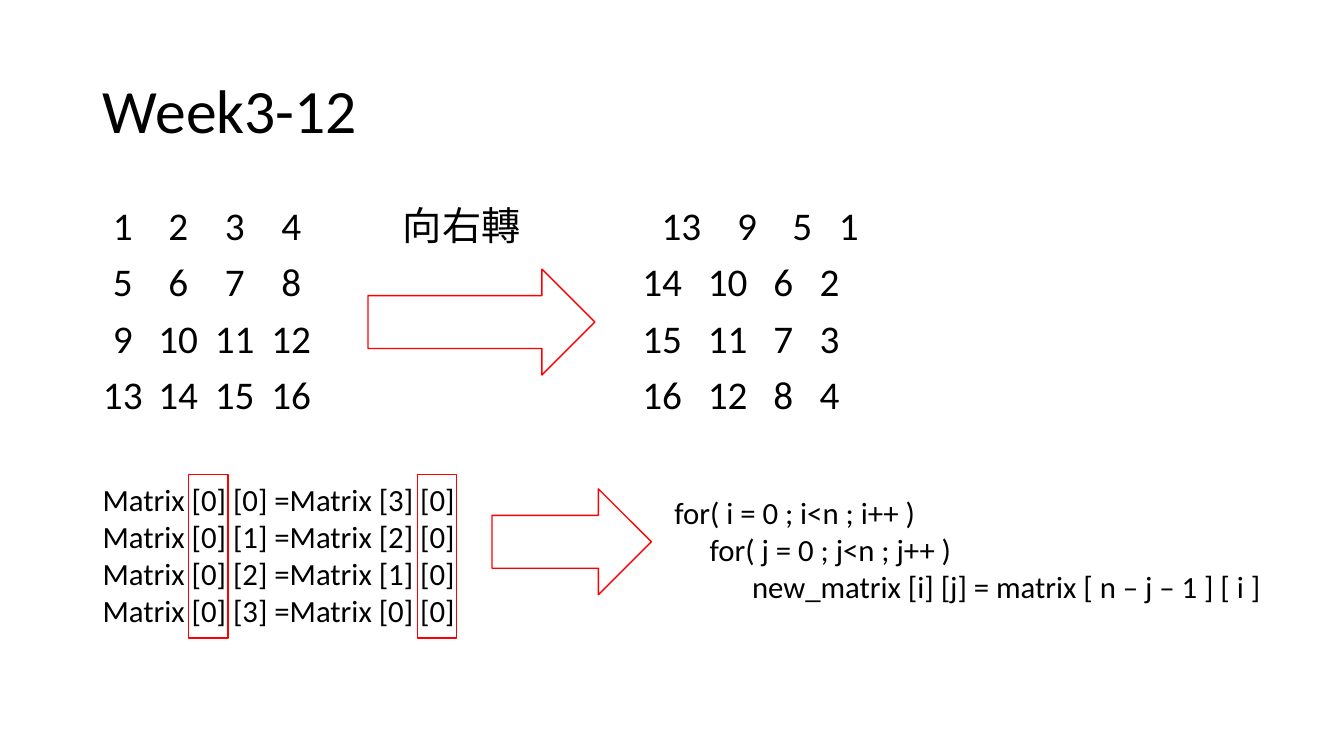
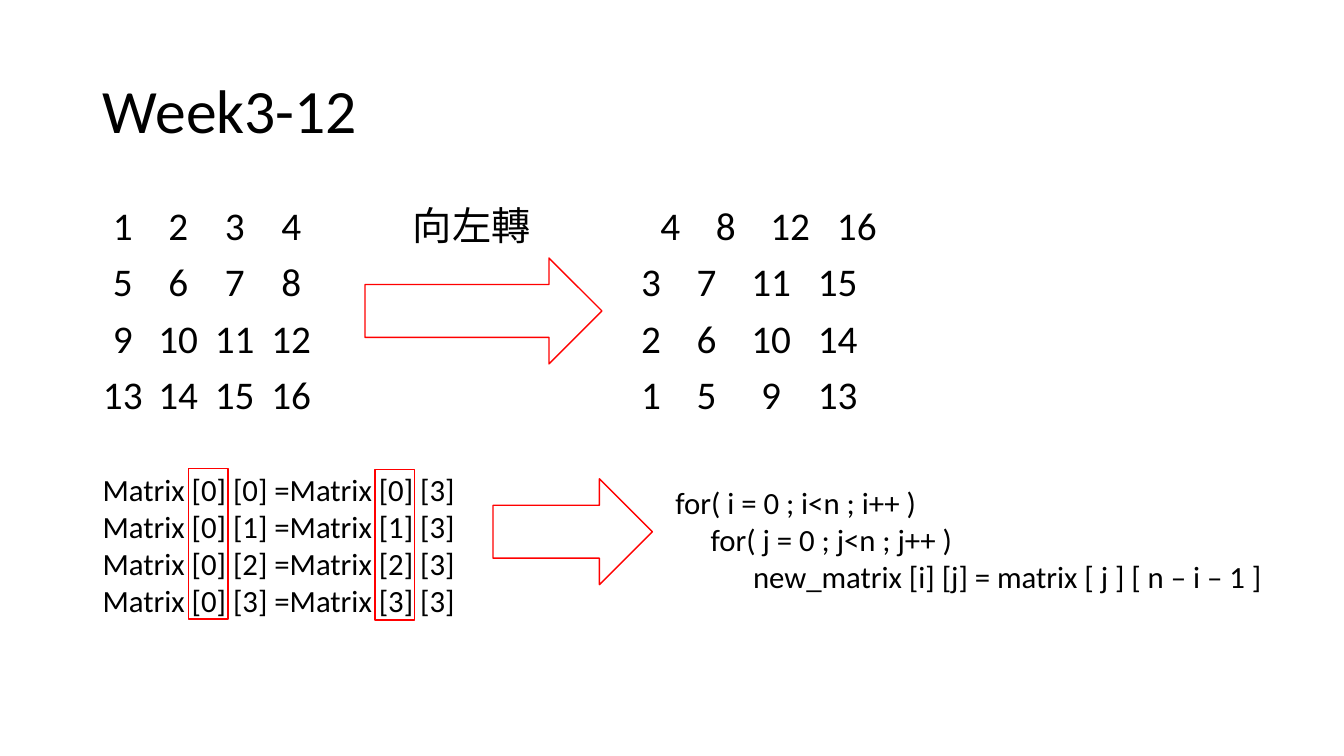
import pptx
import pptx.util
import pptx.dml.color
import pptx.enum.shapes
import pptx.enum.text
import lxml.etree

Inches = pptx.util.Inches
Pt = pptx.util.Pt
SHAPE = pptx.enum.shapes.MSO_SHAPE
ALIGN = pptx.enum.text.PP_ALIGN
ANCHOR = pptx.enum.text.MSO_ANCHOR
NS = "{http://schemas.openxmlformats.org/drawingml/2006/main}"

FONT = "Calibri"
BLACK = "000000"
RED = "FF0000"
LEFT = 0.92
SIZE = 4
GRID = [[SIZE * i + j + 1 for j in range(SIZE)] for i in range(SIZE)]
GRID_TABS = [0.2, 0.75, 1.31, 1.87]
SHIFT = 0.19  # the first turned row stands a little to the right
LOOPS = ["for( i = 0 ; i<n ; i++ )", "for( j = 0 ; j<n ; j++ )"]
INDENTS = [0, 0.35, 0.77]


def color(code):
    """Turn a hex string into a colour."""
    return pptx.dml.color.RGBColor.from_string(code)


def style(para, size):
    """Give a paragraph and its runs the shared look."""
    para.alignment = ALIGN.LEFT
    for run in para.runs:
        run.font.name = FONT
        run.font.size = Pt(size)
        run.font.color.rgb = color(BLACK)


def add_title(slide, text):
    """Place and format the slide title."""
    title = slide.shapes.title
    title.left, title.top = Inches(LEFT), Inches(0.4)
    title.width, title.height = Inches(11.5), Inches(1.45)
    frame = title.text_frame
    frame.text = text
    frame.vertical_anchor = ANCHOR.MIDDLE
    frame.paragraphs[0].line_spacing = 0.9
    style(frame.paragraphs[0], 44)


def add_text(slide, place, lines, size, wrap=True):
    """Add a text box with one paragraph a line."""
    box = slide.shapes.add_textbox(*map(Inches, place))
    frame = box.text_frame
    frame.word_wrap = wrap
    frame.text = "\n".join(lines)
    for para in frame.paragraphs:
        style(para, size)
    return frame.paragraphs


def set_tabs(para, stops):
    """Set centred tab stops, in inches."""
    tabs = lxml.etree.SubElement(para._p.get_or_add_pPr(), NS + "tabLst")
    for stop in stops:
        lxml.etree.SubElement(tabs, NS + "tab", pos=str(Inches(stop)), algn="ctr")


def add_grids(slide, turned, label, middle, stops):
    """Add the first grid, the label and the turned grid."""
    rows = [first + second for first, second in zip(GRID, turned)]
    rows[0] = GRID[0] + [label] + turned[0]
    lines = ["".join(f"\t{item}" for item in row) for row in rows]
    paras = add_text(slide, (LEFT, 2, 11.5, 4.76), lines, 28)
    for number, para in enumerate(paras):
        para.line_spacing = 0.9
        para.space_before = Pt(10)
        if number == 0:
            tabs = GRID_TABS + [middle] + [stop + SHIFT for stop in stops]
        else:
            tabs = GRID_TABS + stops
        set_tabs(para, tabs)


def add_code(slide, place, last):
    """Add the nested loops, indented by level."""
    paras = add_text(slide, place, LOOPS + [last], 22, wrap=False)
    for para, indent in zip(paras, INDENTS):
        para._p.get_or_add_pPr().set("marL", str(Inches(indent)))


def add_outline(slide, kind, place):
    """Add a red outlined shape without fill."""
    shape = slide.shapes.add_shape(kind, *map(Inches, place))
    shape.shadow.inherit = False
    shape.fill.background()
    shape.line.color.rgb = color(RED)
    shape.line.width = Pt(1)


def add_turn(deck, turn):
    """Build one slide that explains a turn of the grid."""
    slide = deck.slides.add_slide(deck.slide_layouts[5])
    add_title(slide, "Week3-12")
    turned = [[GRID[row][col] for row, col in map(lambda j: turn["cell"](i, j), range(SIZE))]
              for i in range(SIZE)]
    add_grids(slide, turned, turn["label"], turn["middle"], turn["stops"])
    pairs = [turn["cell"](0, j) for j in range(SIZE)]
    lines = [f"Matrix [0] [{j}] =Matrix [{row}] [{col}]"
             for j, (row, col) in enumerate(pairs)]
    add_text(slide, turn["pairs"], lines, 22)
    add_code(slide, turn["loops"], turn["code"])
    for place in turn["arrows"]:
        add_outline(slide, SHAPE.RIGHT_ARROW, place)
    for place in turn["frames"]:
        add_outline(slide, SHAPE.RECTANGLE, place)


def main():
    """Build and save the deck."""
    deck = pptx.Presentation()
    deck.slide_width, deck.slide_height = Inches(13.33), Inches(7.5)
    right = {
        "label": "向右轉",
        "cell": lambda i, j: (SIZE - 1 - j, i),
        "middle": 3.56,
        "stops": [5.55, 6.2, 6.75, 7.21],
        "pairs": (LEFT, 4.72, 3.88, 1.58),
        "loops": (6.59, 4.85, 6.08, 1.21),
        "code": "new_matrix [i] [j] = matrix [ n – j – 1 ] [ i ]",
        "arrows": [(3.65, 2.67, 2.25, 1.05), (4.88, 4.85, 1.58, 1.05)],
        "frames": [(1.87, 4.71, 0.39, 1.62), (4.14, 4.71, 0.39, 1.62)],
    }
    left = {
        "label": "向左轉",
        "cell": lambda i, j: (j, SIZE - 1 - i),
        "middle": 3.66,
        "stops": [5.44, 5.99, 6.63, 7.29],
        "pairs": (LEFT, 4.62, 4.09, 1.58),
        "loops": (6.6, 4.75, 6.08, 1.21),
        "code": "new_matrix [i] [j] = matrix [ j ] [ n – i – 1 ]",
        "arrows": [(3.62, 2.56, 2.35, 1.05), (4.89, 4.75, 1.58, 1.05)],
        "frames": [(1.87, 4.65, 0.39, 1.49), (3.72, 4.66, 0.39, 1.49)],
    }
    for turn in (right, left):
        add_turn(deck, turn)
    deck.save("out.pptx")


main()
